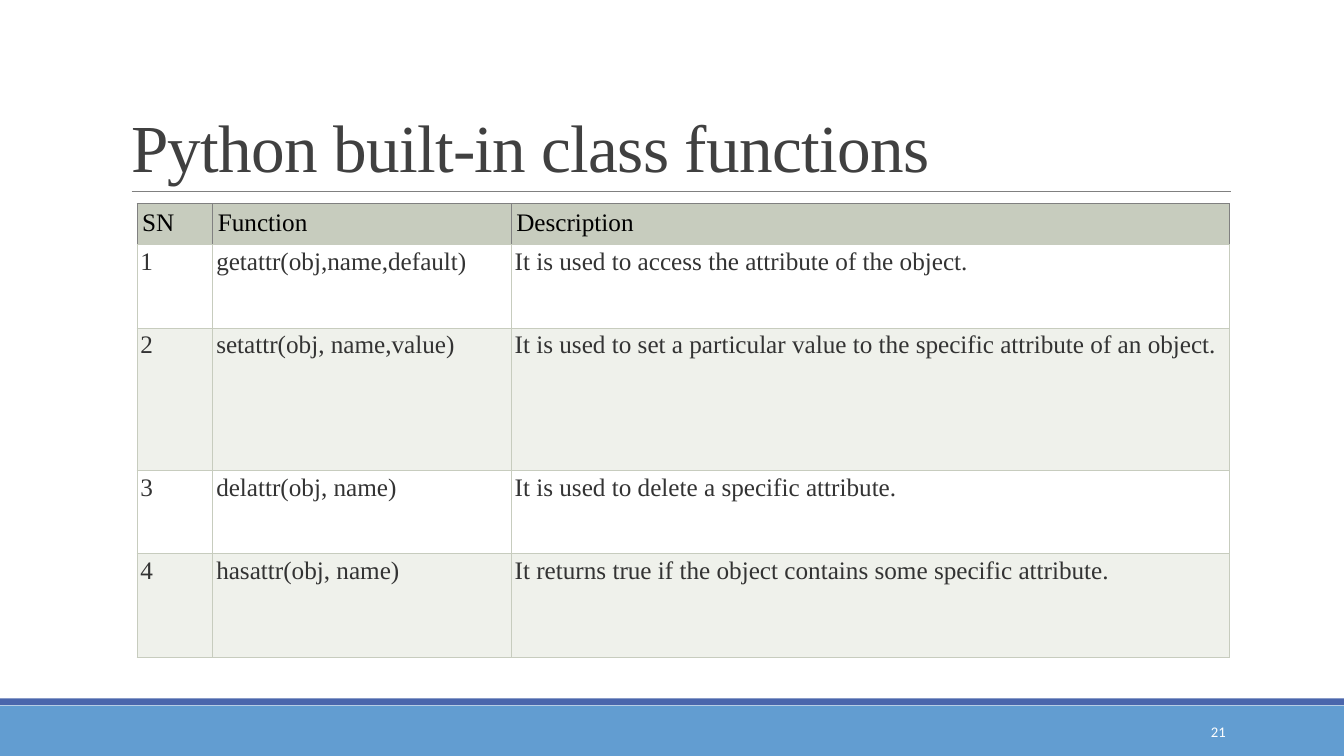
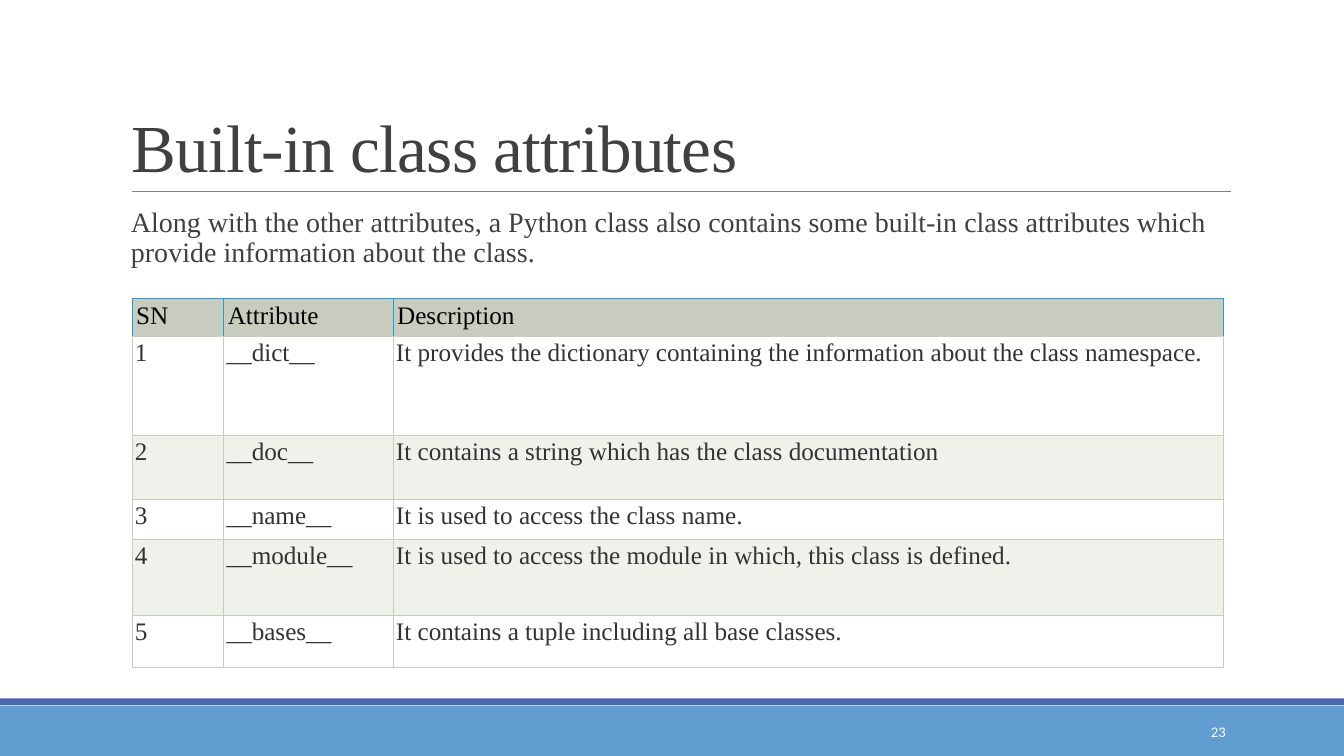
from pptx import Presentation
from pptx.dml.color import RGBColor as RGB
from pptx.enum.shapes import MSO_CONNECTOR as CONN, MSO_SHAPE as SHAPE
from pptx.enum.text import MSO_ANCHOR as ANCHOR, MSO_AUTO_SIZE as AUTO, PP_ALIGN as ALIGN
from pptx.oxml.ns import qn
from pptx.util import Cm, Pt
from lxml.etree import SubElement as Sub

COLORS = {
    "band": "629DD1",
    "stripe": "4A66AC",
    "rule": "808080",
    "title": "404040",
    "header": "C7CCBE",
    "header_text": "000000",
    "cell_text": "333333",
    "odd": "FFFFFF",
    "even": "EFF1EB",
    "white": "FFFFFF",
    "blue": "209CE3",
}
SERIF, SANS = "Times New Roman", "Calibri"
TITLE_ONLY = 5

FUNCTIONS = [
    ("SN", "Function", "Description"),
    ("1", "getattr(obj,name,default)", "It is used to access the attribute of the object."),
    ("2", "setattr(obj, name,value)",
     "It is used to set a particular value to the specific attribute of an object."),
    ("3", "delattr(obj, name)", "It is used to delete a specific attribute."),
    ("4", "hasattr(obj, name)",
     "It returns true if the object contains some specific attribute."),
]
ATTRIBUTES = [
    ("SN", "Attribute", "Description"),
    ("1", "__dict__",
     "It provides the dictionary containing the information about the class namespace."),
    ("2", "__doc__", "It contains a string which has the class documentation"),
    ("3", "__name__", "It is used to access the class name."),
    ("4", "__module__", "It is used to access the module in which, this class is defined."),
    ("5", "__bases__", "It contains a tuple including all base classes."),
]
INTRO = ("Along with the other attributes, a Python class also contains some built-in "
         "class attributes which provide information about the class.")


def color(name):
    return RGB.from_string(COLORS[name])


def add_run(p, text, size, fill, font=SERIF):
    r = p.add_run()
    r.text = text
    r.font.name, r.font.size = font, Pt(size)
    r.font.color.rgb = color(fill)
    return r


def add_band(s, top, height, fill):
    sp = s.shapes.add_shape(SHAPE.RECTANGLE, 0, Cm(top), Cm(33.87), Cm(height))
    sp.shadow.inherit = False
    sp.fill.solid()
    sp.fill.fore_color.rgb = color(fill)
    sp.line.fill.background()


def add_rule(s):
    line = s.shapes.add_connector(CONN.STRAIGHT, Cm(3.32), Cm(4.82), Cm(31.01), Cm(4.82))
    line.line.color.rgb = color("rule")
    line.line.width = Pt(0.5)
    Sub(line._element.spPr, qn("a:effectLst"))


def set_title(s, text):
    sp = s.shapes.title
    sp.left, sp.top, sp.width, sp.height = Cm(3.05), Cm(0.79), Cm(27.94), Cm(4.04)
    tf = sp.text_frame
    tf.auto_size, tf.vertical_anchor = AUTO.NONE, ANCHOR.BOTTOM
    p = tf.paragraphs[0]
    p.alignment, p.line_spacing = ALIGN.LEFT, 0.85
    r = add_run(p, text, 48, "title")
    r.font._element.set("spc", "-50")


def add_text_box(s, left, top, width, height):
    tf = s.shapes.add_textbox(Cm(left), Cm(top), Cm(width), Cm(height)).text_frame
    tf.word_wrap = True
    return tf


def add_number(s, number):
    tf = add_text_box(s, 27.51, 17.93, 3.63, 1.02)
    tf.vertical_anchor = ANCHOR.MIDDLE
    p = tf.paragraphs[0]
    p.alignment = ALIGN.RIGHT
    add_run(p, number, 10.5, "white", SANS)


def add_body(s, text):
    tf = add_text_box(s, 3.05, 5.13, 27.94, 2.2)
    tf.margin_left, tf.margin_right = Cm(0.25), 0
    p = tf.paragraphs[0]
    p.line_spacing = 0.9
    add_run(p, text, 20, "title")


def add_slide(prs, title, number):
    s = prs.slides.add_slide(prs.slide_layouts[TITLE_ONLY])
    add_band(s, 17.78, 1.27, "band")
    add_band(s, 17.6, 0.17, "stripe")
    add_rule(s)
    set_title(s, title)
    add_number(s, number)
    return s


def set_borders(cell, edge, bottom):
    tcPr = cell._tc.get_or_add_tcPr()
    for tag, name in (("lnL", edge), ("lnR", edge), ("lnT", edge), ("lnB", bottom)):
        ln = Sub(tcPr, qn(f"a:{tag}"), w=str(Pt(0.5)))
        Sub(Sub(ln, qn("a:solidFill")), qn("a:srgbClr"), val=COLORS[name])


def format_cell(cell, text, fill, ink, align, margin, edge):
    set_borders(cell, edge, "header")
    cell.fill.solid()
    cell.fill.fore_color.rgb = color(fill)
    cell.margin_left = cell.margin_right = Cm(margin)
    cell.margin_top = cell.margin_bottom = Cm(margin)
    p = cell.text_frame.paragraphs[0]
    p.alignment = align
    add_run(p, text, 18, ink)


def add_table(s, left, top, widths, heights, rows, header_edge, header_margin, margin):
    frame = s.shapes.add_table(len(rows), len(widths), Cm(left), Cm(top),
                               Cm(sum(widths)), Cm(sum(heights)))
    table = frame.table
    table.first_row = table.horz_banding = False
    for column, width in zip(table.columns, widths):
        column.width = Cm(width)
    for i, (row, height, texts) in enumerate(zip(table.rows, heights, rows)):
        row.height = Cm(height)
        if i == 0:
            style = ("header", "header_text", ALIGN.LEFT, header_margin, header_edge)
        else:
            style = ("odd" if i % 2 else "even", "cell_text", ALIGN.JUSTIFY, margin, "header")
        for cell, text in zip(row.cells, texts):
            format_cell(cell, text, *style)


def main():
    prs = Presentation()
    prs.slide_width, prs.slide_height = Cm(33.87), Cm(19.05)

    s = add_slide(prs, "Python built-in class functions", "21")
    add_table(s, 3.45, 5.13, (1.91, 7.52, 18.11), (0.76, 2.11, 3.58, 2.11, 2.62),
              FUNCTIONS, "rule", 0.13, 0.09)

    s = add_slide(prs, "Built-in class attributes", "23")
    add_body(s, INTRO)
    add_table(s, 3.33, 7.52, (2.31, 4.27, 20.93), (0.64, 2.49, 1.6, 1.02, 1.91, 1.3),
              ATTRIBUTES, "blue", 0.1, 0.07)

    prs.save("out.pptx")


if __name__ == "__main__":
    main()
